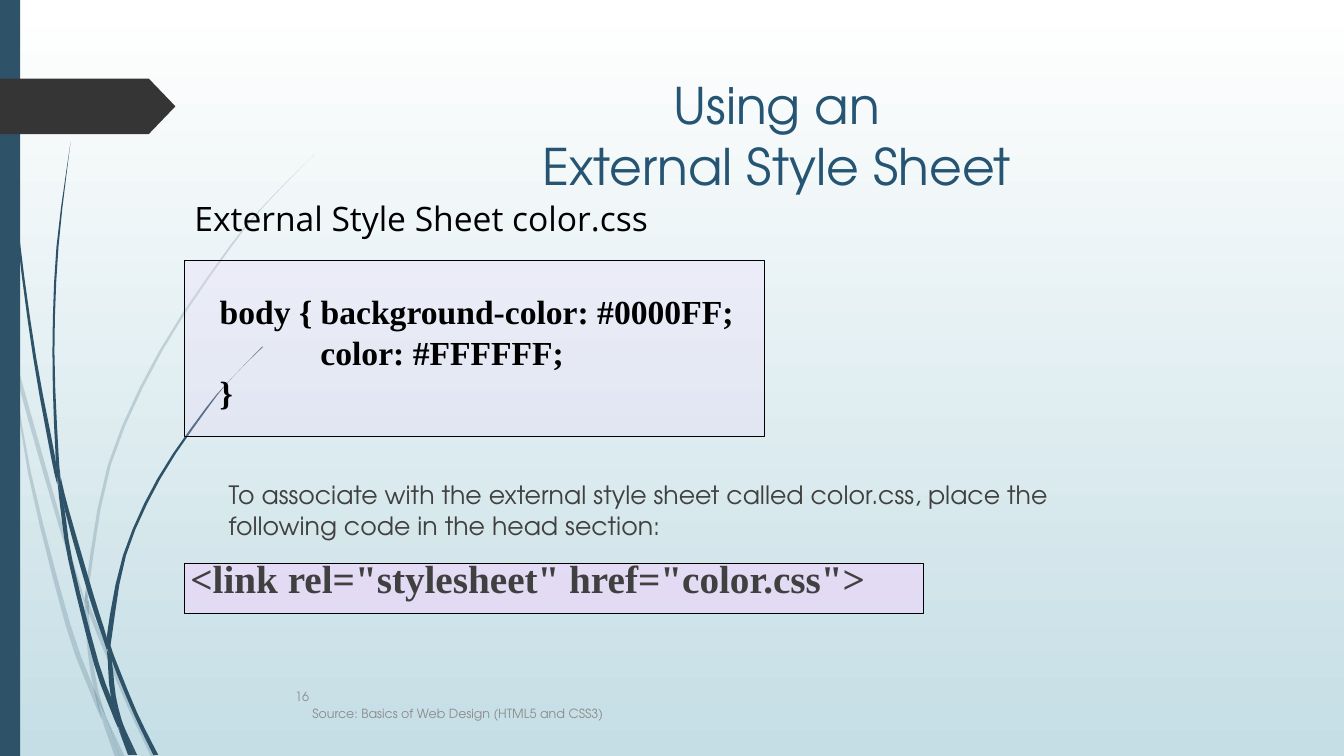
from lxml.etree import SubElement
from pptx import Presentation
from pptx.dml.color import RGBColor
from pptx.enum.shapes import MSO_SHAPE
from pptx.enum.text import MSO_ANCHOR, PP_ALIGN
from pptx.oxml.ns import qn
from pptx.util import Inches, Pt

COLORS = {
    "top": "FFFFFF", "bottom": "C5DEE5", "stem": "2E5369", "tag": "353535",
    "panel": "F1D4FB", "title": "255572", "body": "404040",
    "footer": "8C8C8C", "ink": "000000",
}
SANS, SERIF, PLAIN = "TeX Gyre Adventor", "Times New Roman", "Open Sans"
STEPS = 3

# height_left_right
FADED_BLADES = [
    [(2.82, 0, 0), (2.99, 0, 0.04), (3.22, 0.05, 0.09), (3.5, 0.11, 0.11)],
    [(3.45, 0.14, 0.14), (3.76, 0.17, 0.21), (5.21, 0.58, 0.62), (5.99, 0.84, 0.85)],
    [(5.96, 0.88, 0.88), (6.08, 0.88, 0.92), (6.93, 1.23, 1.27), (7.51, 1.5, 1.55)],
    [(7.11, 1.05, 1.05), (7.51, 1.19, 1.24)],
    [(3.5, 0.11, 0.11), (4.7, 0.28, 0.31), (6.2, 0.65, 0.7), (6.88, 0.9, 0.95),
     (7.14, 1.01, 1.01)],
    [(5.99, 0.84, 0.84), (6.08, 0.84, 0.88), (6.46, 0.87, 0.91), (6.83, 0.93, 0.97),
     (7.11, 1.05, 1.05)],
    [(1.53, 3.12, 3.12), (1.97, 2.68, 2.69), (2.44, 2.28, 2.3), (3.48, 1.58, 1.61),
     (4.61, 1.07, 1.1), (5.84, 0.85, 0.88), (5.96, 0.88, 0.88)],
    [(7.14, 1.01, 1.01), (7.51, 1.14, 1.19)],
    [(5.86, 0.85, 0.85), (5.97, 0.84, 0.88), (6.1, 0.88, 0.88)],
    [(6.83, 0.93, 0.93), (7.1, 1, 1.05), (7.51, 1.19, 1.19)],
]
DARK_BLADES = [
    [(0, 0.03, 0.04), (1.1, 0.07, 0.08), (2.33, 0.17, 0.19), (3.55, 0.33, 0.36),
     (4.55, 0.51, 0.55), (4.81, 0.57, 0.57)],
    [(4.72, 0.6, 0.6), (5.05, 0.64, 0.68), (5.91, 0.88, 0.93), (6.33, 1.02, 1.06),
     (6.45, 1.06, 1.06)],
    [(6.41, 1.1, 1.1), (6.53, 1.1, 1.14), (7.07, 1.32, 1.36), (7.49, 1.52, 1.57)],
    [(4.77, 0.57, 0.57), (5.05, 0.6, 0.64), (5.57, 0.68, 0.72), (6.58, 0.93, 0.98),
     (7.05, 1.1, 1.15), (7.22, 1.17, 1.17)],
    [(1.41, 0.7, 0.7), (2.45, 0.56, 0.58), (3.49, 0.52, 0.54), (4.49, 0.55, 0.58),
     (4.72, 0.6, 0.6)],
    [(7.19, 1.22, 1.22), (7.49, 1.33, 1.36)],
    [(4.49, 0.55, 0.55), (4.75, 0.57, 0.6), (5.05, 0.64, 0.64)],
    [(3.44, 2.6, 2.61), (3.74, 2.31, 2.31), (4.05, 2.04, 2.06), (4.75, 1.56, 1.59),
     (5.51, 1.22, 1.25), (6.31, 1.06, 1.11), (6.41, 1.1, 1.1)],
    [(7.22, 1.17, 1.17), (7.49, 1.27, 1.31)],
    [(6.45, 1.06, 1.06), (6.56, 1.07, 1.11), (6.91, 1.1, 1.15), (7.19, 1.22, 1.22)],
    [(6.31, 1.06, 1.06), (6.42, 1.06, 1.1), (6.56, 1.11, 1.11)],
    [(6.91, 1.1, 1.1), (7.18, 1.16, 1.22), (7.49, 1.3, 1.33)],
]


def rgb(name):
    return RGBColor.from_string(COLORS[name])


def paint(shape, color, opacity=100, outline=None):
    shape.shadow.inherit = False
    shape.fill.solid()
    shape.fill.fore_color.rgb = rgb(color)
    if opacity < 100:
        color_element = shape.fill._xPr.find(qn("a:solidFill"))[0]
        SubElement(color_element, qn("a:alpha"), val=str(opacity * 1000))
    if outline:
        shape.line.color.rgb = rgb(outline)
        shape.line.width = Pt(0.75)
    else:
        shape.line.fill.background()


def add_preset(slide, kind, box, color, opacity=100, outline=None):
    shape = slide.shapes.add_shape(kind, *map(Inches, box))
    paint(shape, color, opacity, outline)
    return shape


def format_paragraph(paragraph, font, size, color, bold=False):
    for run in paragraph.runs:
        run.font.name = font
        run.font.size = Pt(size)
        run.font.color.rgb = rgb(color)
        run.font.bold = bold


def set_indent(paragraph, left, first=0):
    properties = paragraph._p.get_or_add_pPr()
    properties.set("marL", str(Inches(left)))
    properties.set("indent", str(Inches(first)))


def add_text(slide, box, text, font, size, color, bold=False, wrap=True,
             anchor=MSO_ANCHOR.TOP):
    frame = slide.shapes.add_textbox(*map(Inches, box)).text_frame
    frame.word_wrap = wrap
    frame.vertical_anchor = anchor
    frame.text = text
    for paragraph in frame.paragraphs:
        format_paragraph(paragraph, font, size, color, bold)
    return frame


def smooth(rows):
    padded = [rows[0], *rows, rows[-1]]
    result = []
    for before, start, end, after in zip(padded, padded[1:], padded[2:], padded[3:]):
        for step in range(STEPS):
            t = step / STEPS
            result.append(tuple(
                b + t * (c - a) / 2 + t * t * (2 * a - 5 * b + 4 * c - d) / 2
                + t ** 3 * (3 * b - a - 3 * c + d) / 2
                for a, b, c, d in zip(before, start, end, after)))
    return result + [rows[-1]]


def add_blade(slide, left, top, rows, opacity):
    curve = smooth(rows) if len(rows) > 2 else rows
    points = [(x, y) for y, x, _ in curve] + [(x, y) for y, _, x in reversed(curve)]
    points = [(Inches(left + x), Inches(top + y)) for x, y in points]
    builder = slide.shapes.build_freeform(*points[0])
    builder.add_line_segments(points[1:], close=True)
    paint(builder.convert_to_shape(), "stem", opacity)


def add_backdrop(slide, left, top, height):
    fill = slide.background.fill
    fill.gradient()
    fill.gradient_angle = 270
    for stop, name in zip(fill.gradient_stops, ("top", "bottom")):
        stop.color.rgb = rgb(name)
    for blades, opacity in ((FADED_BLADES, 20), (DARK_BLADES, 100)):
        for rows in blades:
            add_blade(slide, left, top, rows, opacity)
    add_preset(slide, MSO_SHAPE.RECTANGLE, (left, top, 0.2, height), "stem")
    tag = add_preset(slide, MSO_SHAPE.PENTAGON, (left, top + 0.78, 1.74, 0.55), "tag")
    tag.adjustments[0] = 0.48


def add_title(slide, box):
    frame = add_text(slide, box, "Using an\vExternal Style Sheet", SANS, 36, "title")
    frame.paragraphs[0].alignment = PP_ALIGN.CENTER


def add_link_example(slide, left, top, width, height):
    add_preset(slide, MSO_SHAPE.RECTANGLE, (left + 0.04, top + 0.88, 7.33, 0.5),
               "panel", 54, "ink")
    frame = add_text(
        slide, (left, top, width, height),
        "To associate with the external style sheet called color.css, "
        "place the following code in the head section:\n"
        '<link rel="stylesheet" href="color.css">', SANS, 18, "body")
    instruction, code = frame.paragraphs
    format_paragraph(code, SERIF, 28, "body", bold=True)
    set_indent(instruction, 0.38)
    set_indent(code, 0.38, -0.38)
    for paragraph in frame.paragraphs:
        paragraph.space_before = Pt(10)


def add_css_example(slide, left, top, width, height):
    add_preset(slide, MSO_SHAPE.RECTANGLE, (left, top + 0.67, width, height - 0.67),
               "panel", 22, "ink")
    frame = add_text(
        slide, (left + 0.25, top + 0.93, 5.35, 1.31),
        "body { background-color: #0000FF;\ncolor: #FFFFFF;\n}",
        SERIF, 24, "ink", bold=True, wrap=False)
    set_indent(frame.paragraphs[1], 1)
    add_text(slide, (left, top, 5.21, 0.5), "External Style Sheet color.css",
             PLAIN, 24, "ink", wrap=False)


def add_footer(slide, left, top, width, height):
    texts = ("16", "Source: Basics of Web Design (HTML5 and CSS3)")
    for index, text in enumerate(texts):
        shift = 0.17 * index
        add_text(slide, (left + shift, top + shift, width, height), text,
                 SANS, 9, "footer", anchor=MSO_ANCHOR.MIDDLE)


presentation = Presentation()
presentation.slide_width = Inches(13.33)
presentation.slide_height = Inches(7.5)
slide = presentation.slides.add_slide(presentation.slide_layouts[6])
add_backdrop(slide, 0, 0, 7.5)
add_title(slide, (2.83, 0.69, 9.75, 1.4))
add_link_example(slide, 1.79, 4.71, 9.42, 2.25)
add_css_example(slide, 1.83, 1.91, 5.75, 2.42)
add_footer(slide, 2.83, 6.71, 8.33, 0.4)
presentation.save("out.pptx")
